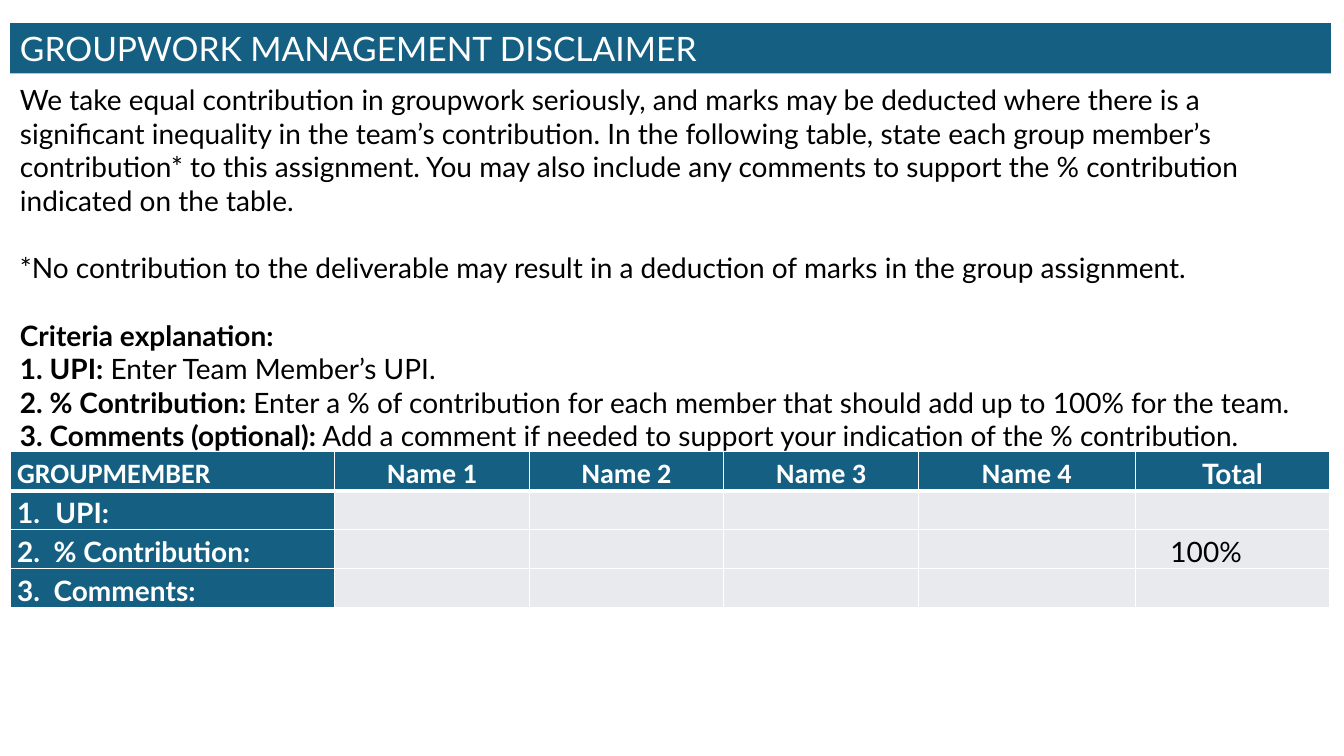
from dataclasses import dataclass
from lxml import etree
from pptx import Presentation
from pptx import util as u
from pptx.dml.color import RGBColor
from pptx.enum import shapes, text
from pptx.oxml.ns import qn


@dataclass(frozen=True)
class Theme:
    teal: str = "156082"
    pale: str = "E8EAED"
    white: str = "FFFFFF"
    black: str = "000000"
    font: str = "Lato"
    head: str = "Calibri"
    body: int = 20
    title: int = 24


def paint(item, color):
    item.fill.solid()
    item.fill.fore_color.rgb = RGBColor.from_string(color)


def write(para, words, font, size, color, bold=False, align=text.PP_ALIGN.LEFT,
          line=None, before=None):
    """Add one run to a paragraph and format both."""
    para.alignment = align
    if line:
        para.line_spacing = line
    if before:
        para.space_before = u.Pt(before)
    run = para.add_run()
    run.text = words
    run.font.name = font
    run.font.size = u.Pt(size)
    run.font.bold = bold
    run.font.color.rgb = RGBColor.from_string(color)


def indent(para, left, number=False):
    props = para._p.get_or_add_pPr()
    props.set("marL", str(u.Inches(left)))
    if number:
        props.set("indent", str(-u.Inches(left)))
        etree.SubElement(props, qn("a:buFont"), typeface="+mj-lt")
        etree.SubElement(props, qn("a:buAutoNum"), type="arabicPeriod")


def border(cell, color, widths):
    """Set left, right, top and bottom lines, widths in points."""
    props = cell._tc.get_or_add_tcPr()
    for side, width in zip("LRTB", widths):
        line = etree.SubElement(props, qn("a:ln" + side), w=str(u.Pt(width)))
        fill = etree.SubElement(line, qn("a:solidFill"))
        etree.SubElement(fill, qn("a:srgbClr"), val=color)


class Deck:
    def __init__(self, theme):
        self.theme = theme
        self.prs = Presentation()
        self.prs.slide_width = u.Inches(13.33)
        self.prs.slide_height = u.Inches(7.5)
        self.slide = self.prs.slides.add_slide(self.prs.slide_layouts[6])

    def panel(self, place, fill, paras, size, color, top=0.05):
        """Filled box; each paragraph is (space before, [(words, bold)])."""
        box = self.slide.shapes.add_shape(
            shapes.MSO_SHAPE.RECTANGLE, *map(u.Inches, place))
        box.shadow.inherit = False
        box.line.fill.background()
        paint(box, fill)
        frame = box.text_frame
        frame.word_wrap = True
        frame.auto_size = text.MSO_AUTO_SIZE.SHAPE_TO_FIT_TEXT
        frame.vertical_anchor = text.MSO_ANCHOR.MIDDLE
        frame.margin_top = u.Inches(top)
        for num, (gap, runs) in enumerate(paras):
            para = frame.add_paragraph() if num else frame.paragraphs[0]
            for words, bold in runs:
                write(para, words, self.theme.font, size, color,
                      bold=bold, before=gap)

    def table(self, left, top, cols, high, rows):
        look = self.theme
        grid = self.slide.shapes.add_table(
            len(rows), len(cols), u.Inches(left), u.Inches(top),
            u.Inches(sum(cols)), u.Inches(high)).table
        for col, wide in zip(grid.columns, cols):
            col.width = u.Inches(wide)
        for r, row in enumerate(rows):
            for c, words in enumerate(row):
                cell = grid.cell(r, c)
                cell.margin_left = cell.margin_right = u.Inches(0.07)
                cell.margin_top = cell.margin_bottom = 0
                label = r == 0 or c == 0
                border(cell, look.white,
                       (1, 1, 3 if r == 1 else 1, 3 if r == 0 else 1))
                paint(cell, look.teal if label else look.pale)
                if not words:
                    continue
                para = cell.text_frame.paragraphs[0]
                if words == "UPI:":
                    indent(para, 0.38, number=True)
                elif not label:
                    indent(para, 0.28)
                mid = r == 0 and c > 0
                write(para, words,
                      look.head if r == 0 and words != "Total" else look.font,
                      look.body, look.white if label else look.black,
                      bold=label, line=1.15,
                      align=text.PP_ALIGN.CENTER if mid else text.PP_ALIGN.LEFT)


def main():
    look = Theme()
    deck = Deck(look)

    # Contribution table
    names = [f"Name {n}" for n in range(1, 5)]
    deck.table(0.1, 4.48, [3.22, 1.93, 1.93, 1.93, 2.15, 1.93], 1.54, [
        ["GROUPMEMBER", *names, "Total"],
        ["UPI:"] + [""] * 5,
        ["2.  % Contribution:"] + [""] * 4 + ["100%"],
        ["3.  Comments:"] + [""] * 5,
    ])

    # Explanation
    gap = 24
    deck.panel((0.1, 0.83, 13.1, 3.56), look.white, [
        (0, [("We take equal contribution in groupwork seriously, and marks may "
              "be deducted where there is a significant inequality in the team’s "
              "contribution. In the following table, state each group member’s "
              "contribution* to this assignment. You may also include any comments "
              "to support the % contribution indicated on the table.", False)]),
        (gap, [("*No contribution to the deliverable may result in a deduction "
                "of marks in the group assignment.", False)]),
        (gap, [("Criteria explanation:", True)]),
        (0, [("1. UPI:", True), (" Enter Team Member’s UPI.", False)]),
        (0, [("2. % Contribution: ", True),
             ("Enter a % of contribution for each member that should add up to "
              "100% for the team.", False)]),
        (0, [("3. Comments (optional):", True),
             (" Add a comment if needed to support your indication of the "
              "% contribution.", False)]),
    ], look.body, look.black, top=0.14)

    # Title bar
    deck.panel((0.1, 0.23, 13.1, 0.5), look.teal,
               [(0, [("GROUPWORK MANAGEMENT DISCLAIMER", False)])],
               look.title, look.white)

    deck.prs.save("out.pptx")


if __name__ == "__main__":
    main()
